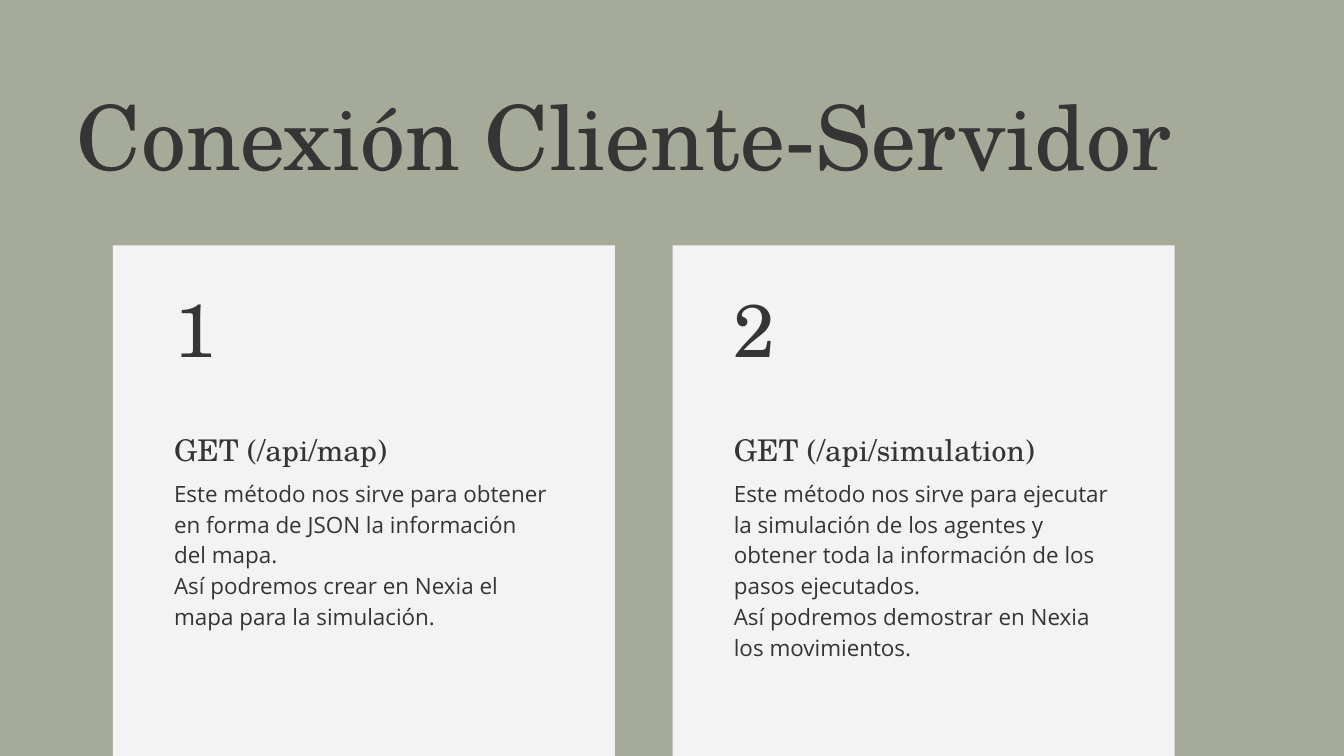
import dataclasses

import pptx
import pptx.dml.color
import pptx.enum.shapes
import pptx.enum.text
import pptx.util

PX = 9144  # EMU per px, 100 px to the inch


@dataclasses.dataclass(frozen=True)
class TextStyle:
    font: str
    size: int
    leading: float


@dataclasses.dataclass(frozen=True)
class Theme:
    background: str = "A6AA98"
    card: str = "F3F3F3"
    ink: str = "363434"
    title: TextStyle = TextStyle("TeX Gyre Schola", 96, 134.4)
    number: TextStyle = TextStyle("TeX Gyre Schola", 80, 136)
    heading: TextStyle = TextStyle("TeX Gyre Schola", 32, 44.8)
    body: TextStyle = TextStyle("Open Sans", 24, 33.1)


THEME = Theme()
CARD_LEFT, CARD_TOP, CARD_W, CARD_H, CARD_STEP = 168, 365, 747, 760, 833
TEXT_INSET, TEXT_W = 91, 565

ENDPOINTS = [
    ("GET (/api/map)", [
        "Este método nos sirve para obtener en forma de JSON la información del mapa.",
        "Así podremos crear en Nexia el mapa para la simulación.",
    ]),
    ("GET (/api/simulation)", [
        "Este método nos sirve para ejecutar la simulación de los agentes y "
        "obtener toda la información de los pasos ejecutados.",
        "Así podremos demostrar en Nexia los movimientos.",
    ]),
]


def px(*lengths):
    return [pptx.util.Emu(length * PX) for length in lengths]


def rgb(color):
    return pptx.dml.color.RGBColor.from_string(color)


def write_text(tf, paragraphs, style):
    tf.word_wrap = True
    tf.auto_size = pptx.enum.text.MSO_AUTO_SIZE.NONE
    tf.vertical_anchor = pptx.enum.text.MSO_ANCHOR.TOP
    tf.margin_left = tf.margin_top = tf.margin_right = tf.margin_bottom = 0
    for i, text in enumerate(paragraphs):
        p = tf.add_paragraph() if i else tf.paragraphs[0]
        p.alignment = pptx.enum.text.PP_ALIGN.LEFT
        p.line_spacing = pptx.util.Pt(style.leading)
        r = p.add_run()
        r.text = text
        r.font.name = style.font
        r.font.size = pptx.util.Pt(style.size)
        r.font.color.rgb = rgb(THEME.ink)


def add_title(s, text):
    sp = s.shapes.title
    sp.left, sp.top, sp.width, sp.height = px(114, 93, 1774, 180)
    write_text(sp.text_frame, [text], THEME.title)


def add_text(s, left, top, height, paragraphs, style):
    sp = s.shapes.add_textbox(*px(left, top, TEXT_W, height))
    write_text(sp.text_frame, paragraphs, style)


def add_panel(s, left):
    sp = s.shapes.add_shape(pptx.enum.shapes.MSO_SHAPE.RECTANGLE,
                            *px(left, CARD_TOP, CARD_W, CARD_H))
    sp.shadow.inherit = False
    sp.fill.solid()
    sp.fill.fore_color.rgb = rgb(THEME.card)
    sp.line.fill.background()


def add_card(s, index, heading, body):
    left = CARD_LEFT + index * CARD_STEP
    text_left = left + TEXT_INSET
    add_panel(s, left)
    add_text(s, text_left, 366, 176, [str(index + 1)], THEME.number)
    add_text(s, text_left, 708, 274, body, THEME.body)
    add_text(s, text_left, 634, 57, [heading], THEME.heading)


def main():
    prs = pptx.Presentation()
    prs.slide_width, prs.slide_height = px(2000, 1125)
    s = prs.slides.add_slide(prs.slide_layouts.get_by_name("Title Only"))
    s.background.fill.solid()
    s.background.fill.fore_color.rgb = rgb(THEME.background)
    add_title(s, "Conexión Cliente-Servidor")
    for index, (heading, body) in enumerate(ENDPOINTS):
        add_card(s, index, heading, body)
    prs.save("out.pptx")


if __name__ == "__main__":
    main()
